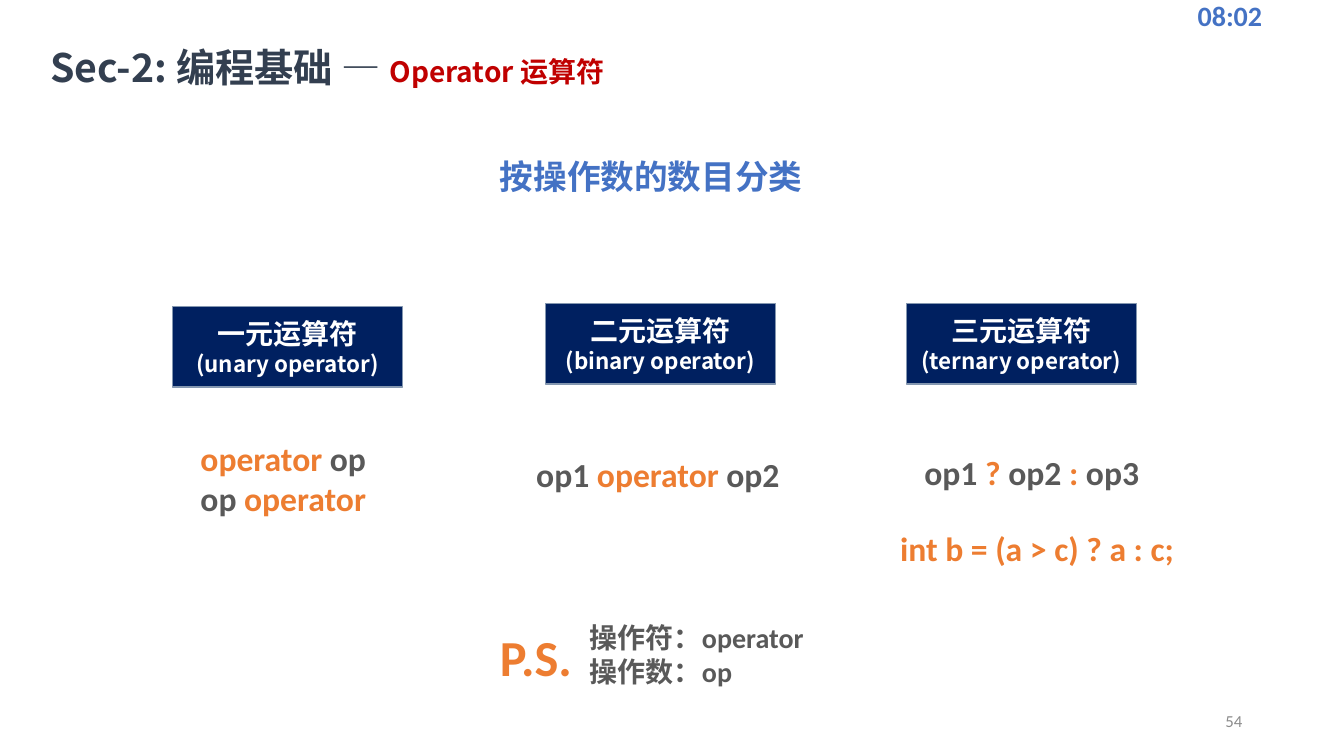
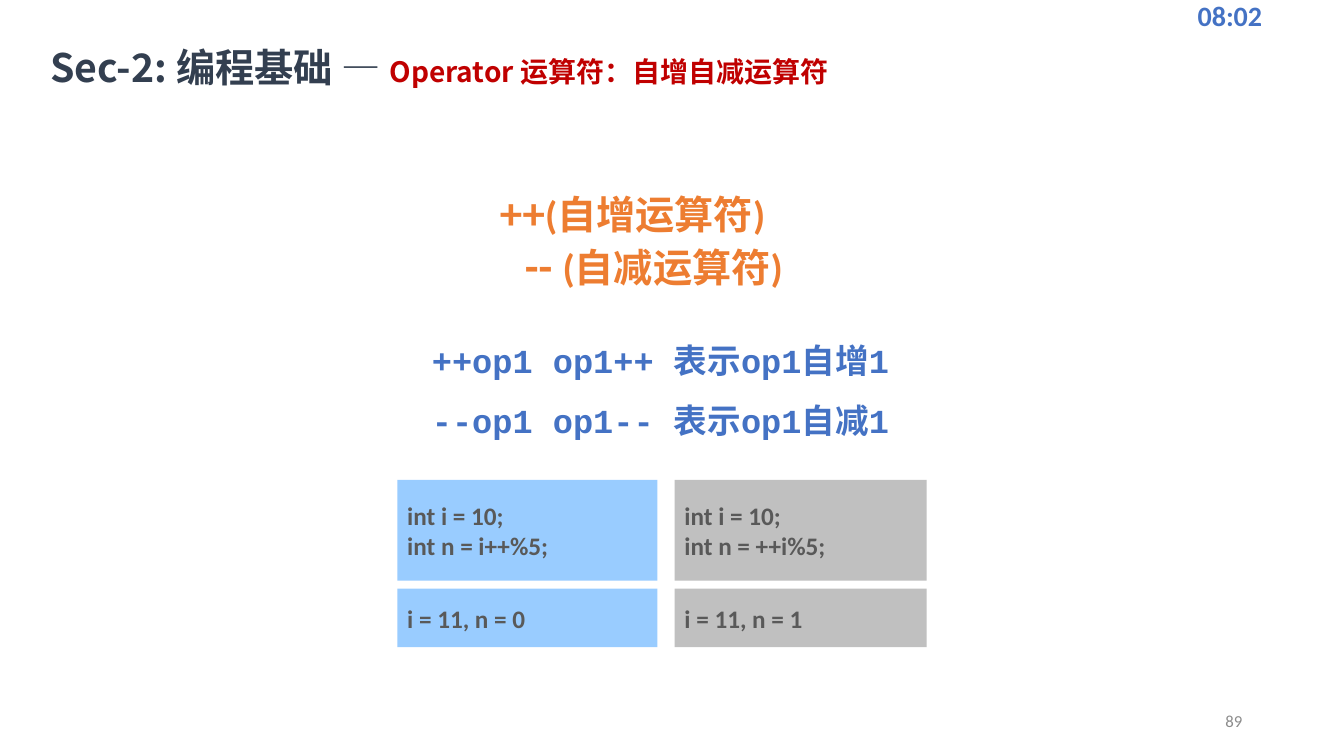
from dataclasses import dataclass

from lxml.etree import SubElement
from pptx import Presentation
from pptx.dml.color import RGBColor
from pptx.enum.shapes import MSO_SHAPE
from pptx.enum.text import MSO_ANCHOR, PP_ALIGN
from pptx.oxml.ns import qn
from pptx.util import Inches, Pt


@dataclass(frozen=True)
class Theme:
    blue: str = "4472C4"
    navy: str = "002060"
    edge: str = "8497B0"
    slate: str = "333F50"
    red: str = "C00000"
    orange: str = "ED7D31"
    gray: str = "595959"
    pale: str = "8C8C8C"
    sky: str = "99CCFF"
    silver: str = "C0C0C0"
    white: str = "FFFFFF"
    sans: str = "Calibri"
    han: str = "Noto Sans CJK SC"
    mono: str = "Courier New"
    huge: int = 36
    large: int = 32
    title: int = 28
    head: int = 24
    body: int = 20
    code: int = 18
    small: int = 16
    tiny: int = 12


T = Theme()
CENTER = PP_ALIGN.CENTER
MIDDLE = MSO_ANCHOR.MIDDLE


class Deck:
    def __init__(self):
        self.file = Presentation()
        self.file.slide_width = Inches(13.33)
        self.file.slide_height = Inches(7.5)
        self.slide = None

    def start(self, topic, width, page):
        self.slide = self.file.slides.add_slide(self.file.slide_layouts[6])
        self.text((11.78, -0.05, 1.78, 0.4), ["08:02"], T.body, T.blue, anchor=MIDDLE)
        self.text((9.42, 6.95, 3, 0.4), [page], T.tiny, T.pale,
                  bold=False, align=PP_ALIGN.RIGHT, anchor=MIDDLE)
        title = [("Sec-2: 编程基础 ", {}), ("— ", {"bold": False}),
                 (topic, {"size": T.body, "color": T.red})]
        frame = self.text((0.5, 0.42, width, 0.48), [title], T.title, T.slate, T.han)
        frame.margin_left = frame.margin_right = frame.margin_bottom = 0
        frame.margin_top = Inches(0.01)
        frame.paragraphs[0].space_before = Pt(0.9)

    def style(self, font, size=None, color=None, bold=None):
        if size:
            font.size = Pt(size)
        if color:
            font.color.rgb = RGBColor.from_string(color)
        if bold is not None:
            font.bold = bold

    def line(self, para, runs, size, color, face, bold, align, pad):
        if isinstance(runs, str):
            runs = [(runs, {})]
        para.alignment = align
        self.style(para.font, size, color, bold)
        para.font.name = face
        props = para._p.get_or_add_pPr()
        SubElement(props.find(qn("a:defRPr")), qn("a:ea"), typeface=T.han)
        if pad:
            props.set("marL", str(Inches(pad)))
        for words, look in runs:
            run = para.add_run()
            run.text = words
            self.style(run.font, **look)

    def fill(self, frame, lines, size, color, face=T.sans, bold=True,
             align=PP_ALIGN.LEFT, anchor=MSO_ANCHOR.TOP, pad=0):
        frame.word_wrap = True
        frame.vertical_anchor = anchor
        for spot, runs in enumerate(lines):
            para = frame.add_paragraph() if spot else frame.paragraphs[0]
            self.line(para, runs, size, color, face, bold, align, pad)
        return frame

    def text(self, area, lines, size, color, face=T.sans, **look):
        box = self.slide.shapes.add_textbox(*map(Inches, area))
        return self.fill(box.text_frame, lines, size, color, face, **look)

    def box(self, area, back, lines, size, color, face=T.sans, edge=None, **look):
        box = self.slide.shapes.add_shape(MSO_SHAPE.RECTANGLE, *map(Inches, area))
        box.shadow.inherit = False
        box.fill.solid()
        box.fill.fore_color.rgb = RGBColor.from_string(back)
        if edge:
            box.line.color.rgb = RGBColor.from_string(edge)
            box.line.width = Pt(1)
        else:
            box.line.fill.background()
        self.fill(box.text_frame, lines, size, color, face, anchor=MIDDLE, **look)

    def save(self):
        self.file.save("out.pptx")


def kinds(deck):
    deck.start("Operator 运算符", 6.48, "54")
    deck.text((4.86, 1.5, 3.54, 0.5), ["按操作数的数目分类"], T.head, T.blue, T.han)
    heads = [(1.71, 3.04, "一元运算符", "(unary operator)"),
             (5.41, 3.01, "二元运算符", "(binary operator)"),
             (8.99, 3.01, "三元运算符", "(ternary operator)")]
    for left, top, name, gloss in heads:
        deck.box((left, top, 2.28, 0.8), T.navy,
                 [name, [(gloss, {"size": T.small})]],
                 T.body, T.white, T.han, T.edge, align=CENTER)
    hot = {"color": T.orange}
    forms = [
        ((1.39, 4.29, 2.9, 0.91), [[("operator", hot), (" op", {})],
                                   [("op ", {}), ("operator", hot)]]),
        ((4.72, 4.45, 3.38, 0.5), [[("op1", {}), (" operator ", hot), ("op2", {})]]),
        ((8.57, 4.43, 3.38, 0.5), [[("op1", {}), (" ? ", hot), ("op2 ", {}),
                                    (":", hot), (" op3", {})]]),
    ]
    for area, lines in forms:
        deck.text(area, lines, T.head, T.gray, pad=0.5)
    deck.text((8.83, 5.19, 3.1, 0.5), ["int b = (a > c) ? a : c;"], T.head, T.orange)
    deck.text((4.86, 6.16, 1.02, 0.71), ["P.S."], T.huge, T.orange)
    deck.text((5.75, 6.11, 2.52, 0.77), ["操作符：operator", "操作数：op"],
              T.body, T.gray)


def steps(deck):
    deck.start("Operator 运算符：自增自减运算符", 8.45, "89")
    big = {"size": T.large}
    frame = deck.text((4.36, 1.78, 3.83, 1.18),
                      [[("++", big), ("(自增运算符)", {})],
                       [("-- ", big), ("(自减运算符)", {})]],
                      T.title, T.orange, align=CENTER)
    frame.paragraphs[1]._p.get_or_add_pPr().set("marL", str(Inches(0.42)))
    frame = deck.text((2.81, 3.12, 7.48, 1.26),
                      ["++op1 op1++ 表示op1自增1", "--op1 op1-- 表示op1自减1"],
                      T.head, T.blue, T.mono, align=CENTER)
    for para in frame.paragraphs:
        para.line_spacing = 1.5
    cards = [(3.94, 2.58, T.sky, "int n = i++%5;", "i = 11, n = 0"),
             (6.69, 2.5, T.silver, "int n = ++i%5;", "i = 11, n = 1")]
    for left, width, back, code, result in cards:
        rows = [(4.76, 1, ["int i = 10;", code]), (5.84, 0.58, [result])]
        for top, height, lines in rows:
            deck.box((left, top, width, height), back, lines, T.code, T.gray)


def main():
    deck = Deck()
    kinds(deck)
    steps(deck)
    deck.save()


if __name__ == "__main__":
    main()
